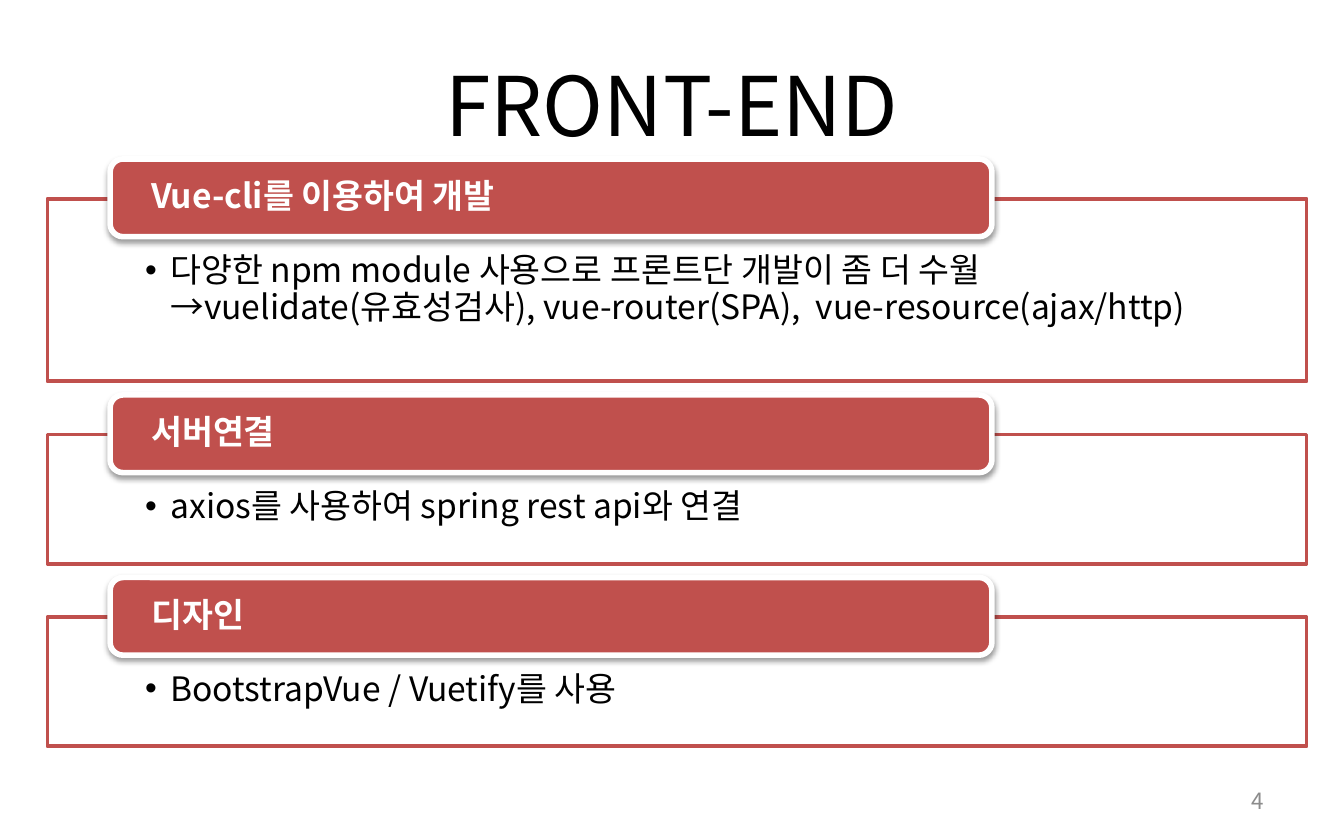
from copy import deepcopy
from dataclasses import dataclass

from lxml.etree import SubElement
from pptx import Presentation
from pptx.dml.color import RGBColor
from pptx.enum.shapes import MSO_SHAPE
from pptx.enum.text import MSO_ANCHOR, MSO_AUTO_SIZE, PP_ALIGN
from pptx.oxml.ns import qn
from pptx.util import Pt


@dataclass(frozen=True)
class Theme:
    font: str = "Noto Sans CJK KR"
    accent: str = "C0504D"
    white: str = "FFFFFF"
    black: str = "000000"
    gray: str = "8C8C8C"
    title_size: float = 44
    text_size: float = 18
    number_size: float = 12


THEME = Theme()
COMPARISON_LAYOUT = 4
PANEL_LEFT, PANEL_WIDTH = 25.4, 674.6
FIRST_PANEL_TOP, PANEL_GAP = 106.4, 28.6
HEADER_LEFT, HEADER_WIDTH, HEADER_HEIGHT = 59, 472.4, 41.6
HEADER_RISE = 21.2
BULLET_INDENT = 13.5

# Header, list lines, panel height
SECTIONS = [
    ("Vue-cli를 이용하여 개발",
     ["다양한 npm module 사용으로 프론트단 개발이 좀 더 수월",
      "→vuelidate(유효성검사), vue-router(SPA),  vue-resource(ajax/http)"], 97.8),
    ("서버연결", ["axios를 사용하여 spring rest api와 연결"], 69.2),
    ("디자인", ["BootstrapVue / Vuetify를 사용"], 69.2),
]


def place(shape, left, top, width, height):
    box = {"left": left, "top": top, "width": width, "height": height}
    for name, value in box.items():
        setattr(shape, name, Pt(value))


def paint(shape, fill, line, line_width):
    shape.fill.solid()
    shape.fill.fore_color.rgb = RGBColor.from_string(fill)
    shape.line.color.rgb = RGBColor.from_string(line)
    shape.line.width = Pt(line_width)


def write(shape, lines, size, color, bold=False, anchor=MSO_ANCHOR.MIDDLE,
          align=PP_ALIGN.LEFT, spacing=1.0, margins=(7.2, 3.6, 7.2, 3.6)):
    """Fill the shape with one paragraph, its lines parted by line breaks."""
    frame = shape.text_frame
    left, top, right, bottom = map(Pt, margins)
    frame_format = {
        "word_wrap": True, "auto_size": MSO_AUTO_SIZE.NONE,
        "vertical_anchor": anchor, "margin_left": left, "margin_top": top,
        "margin_right": right, "margin_bottom": bottom,
    }
    for name, value in frame_format.items():
        setattr(frame, name, value)

    paragraph = frame.paragraphs[0]
    paragraph_format = {"alignment": align, "line_spacing": spacing,
                        "space_before": Pt(0), "space_after": Pt(0)}
    for name, value in paragraph_format.items():
        setattr(paragraph, name, value)

    font_format = {"name": THEME.font, "size": Pt(size), "bold": bold}
    for index, line in enumerate(lines):
        if index:
            paragraph.add_line_break()
        run = paragraph.add_run()
        run.text = line
        for name, value in font_format.items():
            setattr(run.font, name, value)
        run.font.color.rgb = RGBColor.from_string(color)
        properties = run._r.get_or_add_rPr()
        SubElement(properties, qn("a:ea"), typeface=THEME.font)
        if index:
            run._r.getprevious().append(deepcopy(properties))
    return paragraph


def add_bullet(paragraph):
    properties = paragraph._p.get_or_add_pPr()
    properties.set("marL", str(Pt(BULLET_INDENT)))
    properties.set("indent", str(-Pt(BULLET_INDENT)))
    SubElement(properties, qn("a:buFont"), typeface="Arial")
    SubElement(properties, qn("a:buChar"), char="•")


def add_soft_shadow(shape):
    shape.shadow.inherit = False
    effects = shape._element.spPr.find(qn("a:effectLst"))
    shadow = SubElement(effects, qn("a:outerShdw"), blurRad=str(Pt(3.1)),
                        dist=str(Pt(1.6)), dir="5400000", rotWithShape="0")
    color = SubElement(shadow, qn("a:srgbClr"), val=THEME.black)
    SubElement(color, qn("a:alpha"), val="38000")


def format_title(title):
    place(title, 36, 18, 648, 75)
    write(title, ["FRONT-END"], THEME.title_size, THEME.black,
          align=PP_ALIGN.CENTER)


def format_panel(placeholder, lines, top, height):
    """Turn a body placeholder into an outlined panel with a bullet."""
    place(placeholder, PANEL_LEFT, top, PANEL_WIDTH, height)
    paint(placeholder, THEME.white, THEME.accent, 2)
    paragraph = write(placeholder, lines, THEME.text_size, THEME.black,
                      anchor=MSO_ANCHOR.TOP, spacing=0.9,
                      margins=(52.4, 29.5, 52.4, 10))
    add_bullet(paragraph)


def add_header(slide, text, panel_top):
    header = slide.shapes.add_shape(
        MSO_SHAPE.ROUNDED_RECTANGLE, Pt(HEADER_LEFT),
        Pt(panel_top - HEADER_RISE), Pt(HEADER_WIDTH), Pt(HEADER_HEIGHT))
    paint(header, THEME.accent, THEME.white, 3)
    add_soft_shadow(header)
    write(header, [text], THEME.text_size, THEME.white, bold=True,
          spacing=0.9, margins=(20, 0, 20, 0))


def add_page_number(slide, number):
    box = slide.shapes.add_textbox(Pt(516), Pt(417), Pt(168), Pt(24))
    write(box, [str(number)], THEME.number_size, THEME.gray,
          align=PP_ALIGN.RIGHT)


def main():
    presentation = Presentation()
    presentation.slide_width, presentation.slide_height = Pt(720), Pt(450)
    slide = presentation.slides.add_slide(
        presentation.slide_layouts[COMPARISON_LAYOUT])
    title, *bodies = slide.placeholders
    format_title(title)

    top = FIRST_PANEL_TOP
    for body, (header, lines, height) in zip(bodies, SECTIONS):
        format_panel(body, lines, top, height)
        add_header(slide, header, top)
        top += height + PANEL_GAP

    for unused in bodies[len(SECTIONS):]:
        unused._element.getparent().remove(unused._element)
    add_page_number(slide, 4)
    presentation.save("out.pptx")


if __name__ == "__main__":
    main()
